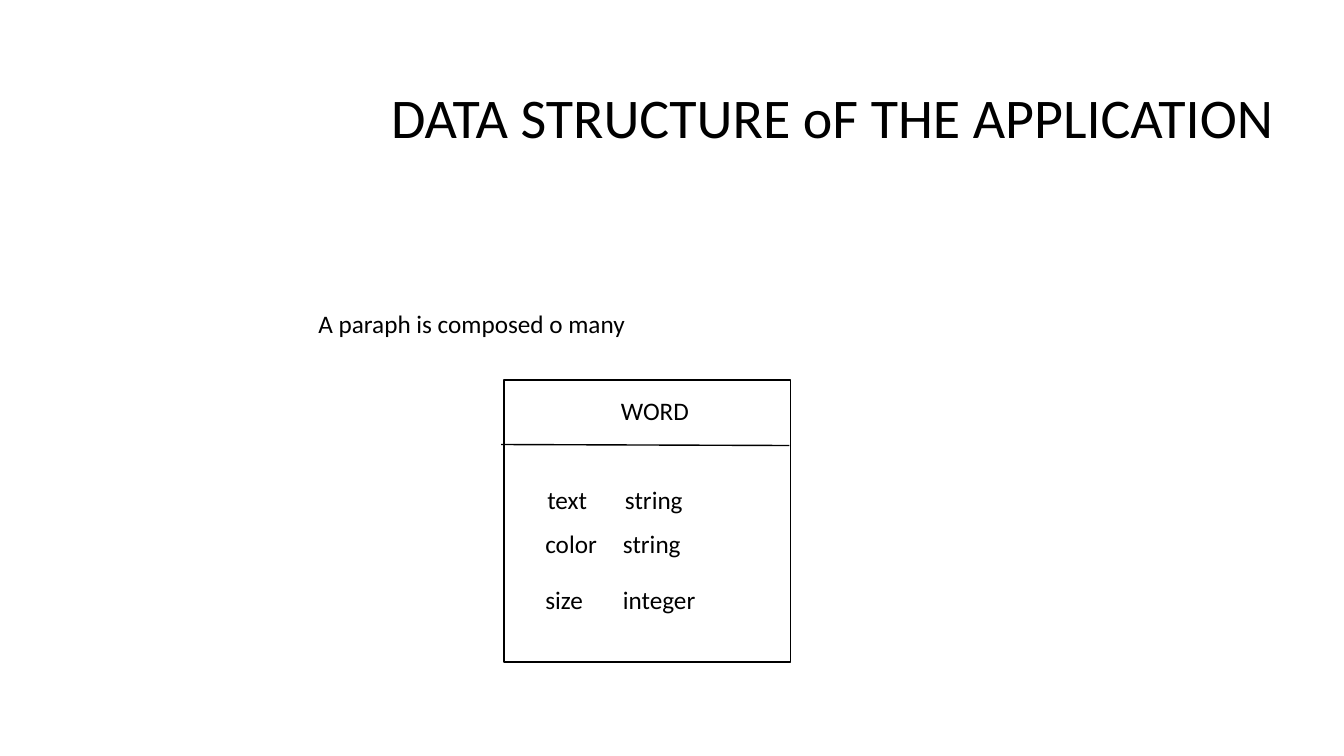
from lxml import etree
from pptx import Presentation
from pptx.dml.color import RGBColor
from pptx.enum.shapes import MSO_CONNECTOR as Connector, MSO_SHAPE as Shape
from pptx.enum.text import MSO_AUTO_SIZE as AutoSize
from pptx.oxml.ns import qn
from pptx.util import Inches, Pt

# Content: text, left, top, width
TITLE = ("DATA STRUCTURE oF THE APPLICATION", 3.78, 0.77, 9.05)
SENTENCE = ("A paraph is composed o many", 3.06, 3.01, 3.34)
ENTITY = ("WORD", 6.06, 3.87, 0.88)
# Fields: row left, row top, (name, width), (type, width)
FIELDS = [
    (5.33, 4.76, ("text", 0.6), ("string", 0.78)),
    (5.31, 5.19, ("color", 0.72), ("string", 0.78)),
    (5.31, 5.75, ("size", 0.58), ("integer", 0.93)),
]
TYPE_OFFSET = 0.77
ENTITY_BOX = (5, 3.77, 2.84, 2.8)
DIVIDER = (4.97, 4.41, 7.83, 4.42)

COLORS = {"ink": "000000", "paper": "FFFFFF"}
FONT = "Calibri"
BODY_SIZE, TITLE_SIZE = 18, 40
LINE_HEIGHT = {BODY_SIZE: 0.4, TITLE_SIZE: 0.77}


def color(name):
    return RGBColor.from_string(COLORS[name])


def style_line(line):
    line.color.rgb = color("ink")
    line.width = Pt(1)


def add_label(slide, text, left, top, width, size=BODY_SIZE):
    box = slide.shapes.add_textbox(
        *map(Inches, (left, top, width, LINE_HEIGHT[size])))
    frame = box.text_frame
    frame.word_wrap = False
    frame.auto_size = AutoSize.SHAPE_TO_FIT_TEXT
    run = frame.paragraphs[0].add_run()
    run.text = text
    run.font.name = FONT
    run.font.size = Pt(size)
    run.font.color.rgb = color("ink")


def main():
    presentation = Presentation()
    presentation.slide_width = Inches(13.33)
    presentation.slide_height = Inches(7.5)
    slide = presentation.slides.add_slide(presentation.slide_layouts[6])
    slide.background.fill.solid()
    slide.background.fill.fore_color.rgb = color("paper")

    # Title
    add_label(slide, *TITLE, size=TITLE_SIZE)

    # Entity box with its name and divider
    box = slide.shapes.add_shape(Shape.RECTANGLE, *map(Inches, ENTITY_BOX))
    box.shadow.inherit = False
    box.fill.solid()
    box.fill.fore_color.rgb = color("paper")
    style_line(box.line)
    add_label(slide, *ENTITY)
    divider = slide.shapes.add_connector(
        Connector.STRAIGHT, *map(Inches, DIVIDER))
    style_line(divider.line)
    etree.SubElement(divider.element.spPr, qn("a:effectLst"))

    # Fields: name and type side by side
    for left, top, (name, name_width), (kind, kind_width) in FIELDS:
        add_label(slide, name, left, top, name_width)
        add_label(slide, kind, left + TYPE_OFFSET, top, kind_width)

    # Sentence above the box
    add_label(slide, *SENTENCE)

    presentation.save("out.pptx")


if __name__ == "__main__":
    main()
